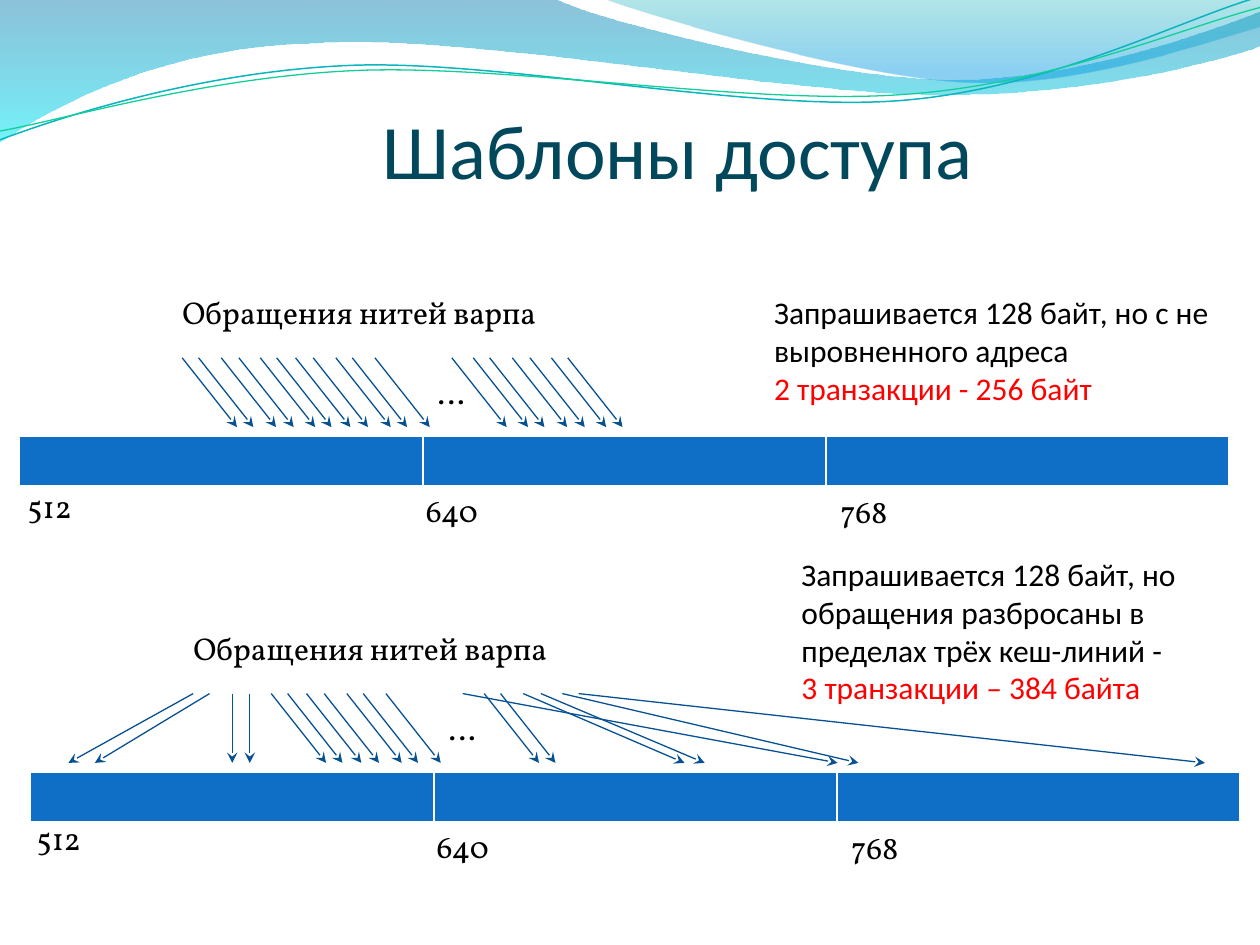
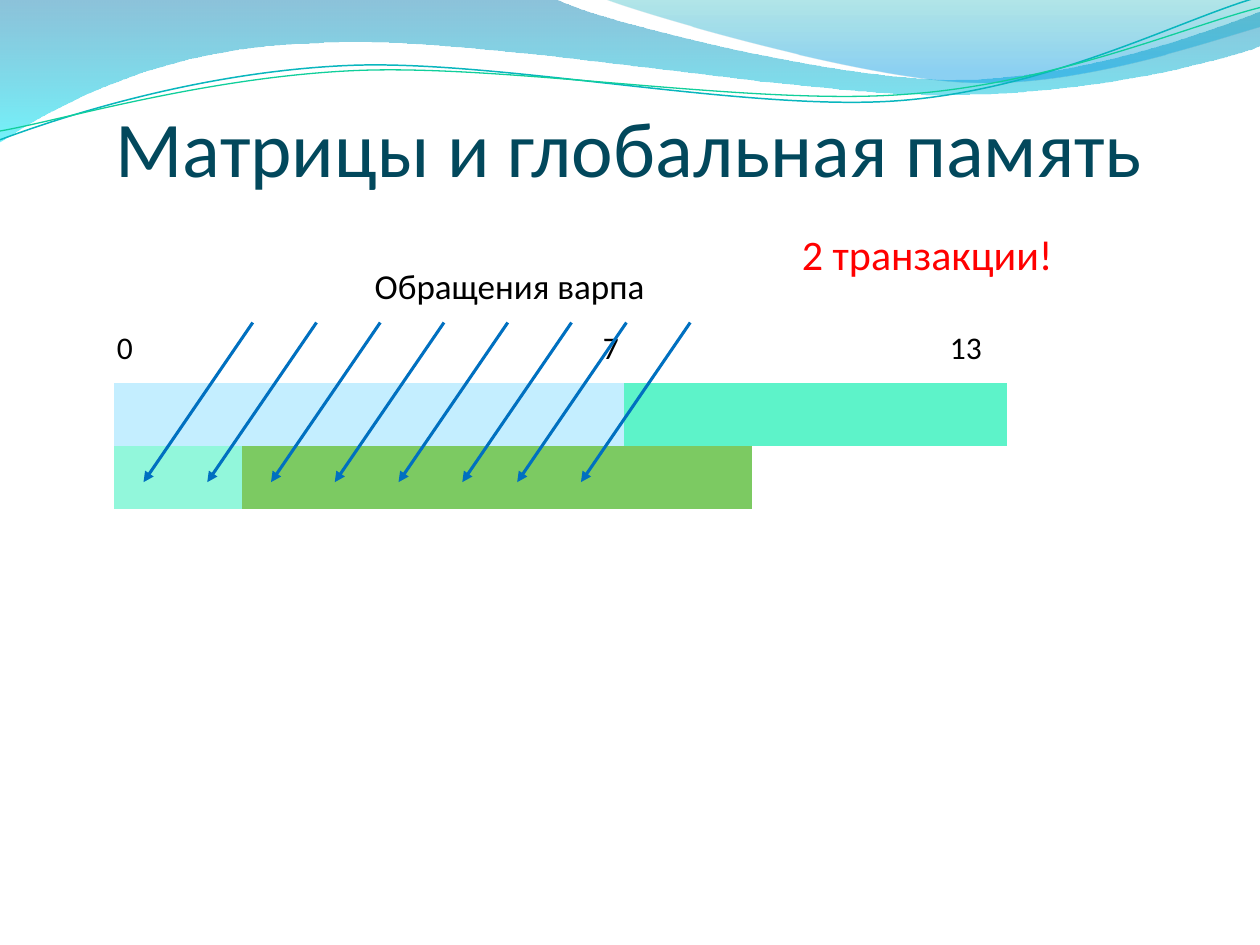
from lxml import etree
from pptx import Presentation
from pptx import util as u
from pptx.dml.color import RGBColor
from pptx.enum import shapes, text
from pptx.oxml import ns

COLS, ROWS = 100, 75
WIDTH, HEIGHT = u.Inches(10), u.Inches(7.5)
SANS, SERIF = "Calibri", "Vollkorn"
BLACK, RED, TITLE, WHITE = "000000", "FF0000", "02485C", "FFFFFF"
NAVY, BLUE, LINE_BLUE = "075192", "0070C0", "0F6FC6"
SKY, TURQUOISE, MINT, GREEN = "C4EEFF", "5DF3C9", "92F7DB", "7CCA62"
NO_STYLE = "{2D5ABB26-0587-4C30-8999-92F81FD0307C}"

WAVES = [
    ([(0, 0), (44, -0.1), (47.6, 1.7, 66.4, 6.3, 75.8, 6.3),
      (85.3, 6.3, 95.8, 2.6, 100, 0.9), (100.1, 3.6),
      (98.3, 4.4, 87, 7.6, 74.6, 7.5), (62.2, 7.5, 38.2, 2.8, 25.7, 3.4),
      (12.9, 3.6, 4.6, 8.3, -0.1, 11.3), (0, 0)],
     [(0, "0079AD", 45), (100, "00E9F7", 55)]),
    ([(47.9, -0.1), (50.9, 1.1, 68.2, 6.2, 76.9, 6.5),
      (85.6, 6.9, 96.1, 3.2, 100, 2.1), (100, 0), (47.9, -0.1)],
     [(0, "00ABB4", 30), (80, "0099E4", 45), (100, "0099E4", 45)]),
]
RIPPLES = [
    ([(0, 11.1), (4.8, 9.3, 15.8, 5.7, 27.7, 5.2),
      (39.5, 4.7, 59.3, 8.9, 71.3, 8), (83.3, 7.1, 93.8, 1.5, 99.8, -0.2)],
     "09B6BE", 0.85),
    ([(0, 10.4), (4.7, 9.6, 16.4, 6.1, 28.3, 5.6),
      (40.3, 5.1, 59.7, 8.4, 71.7, 7.5), (83.6, 6.7, 94.1, 2.1, 100, 0.6)],
     "10CF9B", 0.75),
]
THREADS = [0, 1.3, 3.1, 4.5, 6.2, 7.5, 9, 10.4, 12.2, 13.5, 15.3,
           21.4, 23.1, 24.4, 26.2, 27.6, 29.3, 30.6]
SHIFT = 4.35
SCATTER = {0: -9.9, 1: -9.1, 2: 0, 3: 0, 11: 29.75,
           14: 12.8, 15: 13, 16: 23.5, 17: 49.7}


def x_of(columns):
    return u.Emu(round(WIDTH * columns / COLS))


def y_of(rows):
    return u.Emu(round(HEIGHT * rows / ROWS))


def frame(left, top, width, height):
    return x_of(left), y_of(top), x_of(width), y_of(height)


def colour(value):
    return RGBColor.from_string(value)


def add_run(paragraph, words, size, font, value):
    run = paragraph.add_run()
    run.text = words
    run.font.size = u.Pt(size)
    run.font.name = font
    run.font.color.rgb = colour(value)


def add_text(slide, box, lines, size=18, font=SANS):
    body = slide.shapes.add_textbox(*frame(*box)).text_frame
    body.word_wrap = True
    for i, (words, value) in enumerate(lines):
        paragraph = body.add_paragraph() if i else body.paragraphs[0]
        add_run(paragraph, words, size, font, value)


def add_title(slide, box, words, size):
    title = slide.shapes.title
    title.left, title.top, title.width, title.height = frame(*box)
    body = title.text_frame
    body.auto_size = text.MSO_AUTO_SIZE.NONE
    body.vertical_anchor = text.MSO_ANCHOR.BOTTOM
    body.margin_left = body.margin_right = body.margin_bottom = 0
    body.margin_top = u.Inches(0.05)
    body.paragraphs[0].alignment = text.PP_ALIGN.CENTER
    add_run(body.paragraphs[0], words, size, SANS, TITLE)


def add_arrow(slide, start, end, value, weight, head):
    arrow = slide.shapes.add_connector(
        shapes.MSO_CONNECTOR.STRAIGHT,
        x_of(start[0]), y_of(start[1]), x_of(end[0]), y_of(end[1]))
    arrow.line.color.rgb = colour(value)
    arrow.line.width = u.Pt(weight)
    properties = arrow.element.spPr
    etree.SubElement(properties.find(ns.qn("a:ln")), ns.qn("a:tailEnd"), type=head)
    etree.SubElement(properties, ns.qn("a:effectLst"))


def add_grid(slide, left, top, rows, columns, cell_width, cell_height):
    holder = slide.shapes.add_table(
        rows, columns,
        *frame(left, top, columns * cell_width, rows * cell_height))
    table = holder.table
    table.first_row = table.horz_banding = False
    holder.element.find(".//" + ns.qn("a:tableStyleId")).text = NO_STYLE
    for column in table.columns:
        column.width = x_of(cell_width)
    for row in table.rows:
        row.height = y_of(cell_height)
    return table


def fill_cell(cell, value):
    cell.fill.solid()
    cell.fill.fore_color.rgb = colour(value)


def add_borders(cell):
    properties = cell._tc.get_or_add_tcPr()
    for i, (side, weight) in enumerate([("L", 1), ("R", 1), ("T", 1), ("B", 3)]):
        edge = etree.Element(ns.qn("a:ln" + side), w=str(u.Pt(weight)))
        solid = etree.SubElement(edge, ns.qn("a:solidFill"))
        etree.SubElement(solid, ns.qn("a:srgbClr"), val=WHITE)
        properties.insert(i, edge)


def add_outline(slide, segments, closed):
    points = [(x_of(x), y_of(y)) for segment in segments
              for x, y in zip(segment[::2], segment[1::2])]
    builder = slide.shapes.build_freeform(*points[0], scale=1.0)
    builder.add_line_segments(points[1:], close=closed)
    outline = builder.convert_to_shape()
    outline.shadow.inherit = False
    outline.fill.background()
    legs = iter(outline.element.findall(".//" + ns.qn("a:lnTo")))
    for segment in segments[1:]:
        leg = next(legs)
        if len(segment) == 6:
            curve = etree.Element(ns.qn("a:cubicBezTo"))
            leg.addprevious(curve)
            for part in (leg, next(legs), next(legs)):
                curve.append(part[0])
                part.getparent().remove(part)
    return outline


def fade(shape, stops):
    gradient = etree.Element(ns.qn("a:gradFill"), rotWithShape="1")
    stop_list = etree.SubElement(gradient, ns.qn("a:gsLst"))
    for position, value, opacity in stops:
        stop = etree.SubElement(stop_list, ns.qn("a:gs"), pos=str(position * 1000))
        tint = etree.SubElement(stop, ns.qn("a:srgbClr"), val=value)
        etree.SubElement(tint, ns.qn("a:alpha"), val=str(opacity * 1000))
    etree.SubElement(gradient, ns.qn("a:lin"), ang="5400000", scaled="0")
    properties = shape.element.spPr
    properties.replace(properties.find(ns.qn("a:noFill")), gradient)


def add_wave_band(slide, layout):
    band = []
    for segments, stops in WAVES:
        wave = add_outline(slide, segments, True)
        wave.line.fill.background()
        fade(wave, stops)
        band.append(wave)
    for segments, value, weight in RIPPLES:
        ripple = add_outline(slide, segments, False)
        ripple.line.color.rgb = colour(value)
        ripple.line.width = u.Pt(weight)
        band.append(ripple)
    for i, part in enumerate(band):
        part.element.find(".//" + ns.qn("p:cNvPr")).set("id", str(20 + i))
        layout.shapes.element.insert(2 + i, part.element)


def add_access_panel(slide, left, top, drifts, first_address, note_box, request, result):
    add_text(slide, (left + 11.93, top, 65, 4),
             [("Обращения нитей варпа", BLACK)], font=SERIF)
    for i, thread in enumerate(THREADS):
        x = left + 12.9 + thread
        add_arrow(slide, (x, top + 5.6), (x + drifts.get(i, SHIFT), top + 11.1),
                  NAVY, 0.75, "stealth")
    add_text(slide, (left + 32.2, top + 6.3, 3.6, 4), [("….", BLACK)], font=SERIF)
    memory = add_grid(slide, left, top + 11.8, 1, 3, 32, 4.1)
    for cell in memory.iter_cells():
        fill_cell(cell, LINE_BLUE)
        add_borders(cell)
    places = [first_address, (31.25, 15.7), (64.15, 15.8)]
    for address, (x, y) in zip(("512", "640", "768"), places):
        add_text(slide, (left + x, top + y, 6.3, 4), [(address, BLACK)], font=SERIF)
    x, y, width, height = note_box
    add_text(slide, (left + x, top + y, width, height),
             [(request, BLACK), (result, RED)])


def add_matrix(slide, left, top):
    step = 5.06
    matrix = add_grid(slide, left, top, 8, 14, step, 5)
    for column in range(8):
        fill_cell(matrix.cell(0, column), SKY)
    for row, first, last, value in [(0, 8, 13, TURQUOISE), (1, 0, 1, MINT), (1, 2, 9, GREEN)]:
        matrix.cell(row, first).merge(matrix.cell(row, last))
        fill_cell(matrix.cell(row, first), value)
    for index, x, width in [("0", -0.76, 3.9), ("7", 37.8, 3.9), ("13", 65.35, 6.3)]:
        add_text(slide, (left + x, top - 4.8, width, 4), [(index, BLACK)])
    for i in range(8):
        x = left + 11 + i * step - (0.7 if i > 5 else 0)
        add_arrow(slide, (x, top - 4.77), (x - 8.67, top + 7.9), BLUE, 1.75, "triangle")
    add_text(slide, (left + 19.7, top - 9.87, 26, 4.4),
             [("Обращения варпа", BLACK)], size=20)
    add_text(slide, (left + 53.6, top - 12.75, 24.5, 5),
             [("2 транзакции!", RED)], size=24)


def build_access_slide(slide):
    add_title(slide, (8.8, 3, 90, 12.5), "Шаблоны доступа", 44)
    add_access_panel(slide, 1.56, 22.8, {}, (-0.36, 15.4), (58.9, 0, 37.3, 10.1),
                     "Запрашивается 128 байт, но с не выровненного адреса",
                     "2 транзакции - 256 байт")
    add_access_panel(slide, 2.43, 49.45, SCATTER, (-0.5, 15.05), (60.2, -5.9, 37.3, 13.1),
                     "Запрашивается 128 байт, но обращения разбросаны "
                     "в пределах трёх кеш-линий -",
                     "3 транзакции – 384 байта")


def build_matrix_slide(slide):
    add_title(slide, (4.9, 6.8, 90, 8.55), "Матрицы и глобальная память", 45)
    add_matrix(slide, 9.06, 30.37)


def main():
    deck = Presentation()
    deck.slide_width, deck.slide_height = WIDTH, HEIGHT
    layout = deck.slide_layouts[5]
    access = deck.slides.add_slide(layout)
    add_wave_band(access, layout)
    build_access_slide(access)
    build_matrix_slide(deck.slides.add_slide(layout))
    deck.save("out.pptx")


if __name__ == "__main__":
    main()
